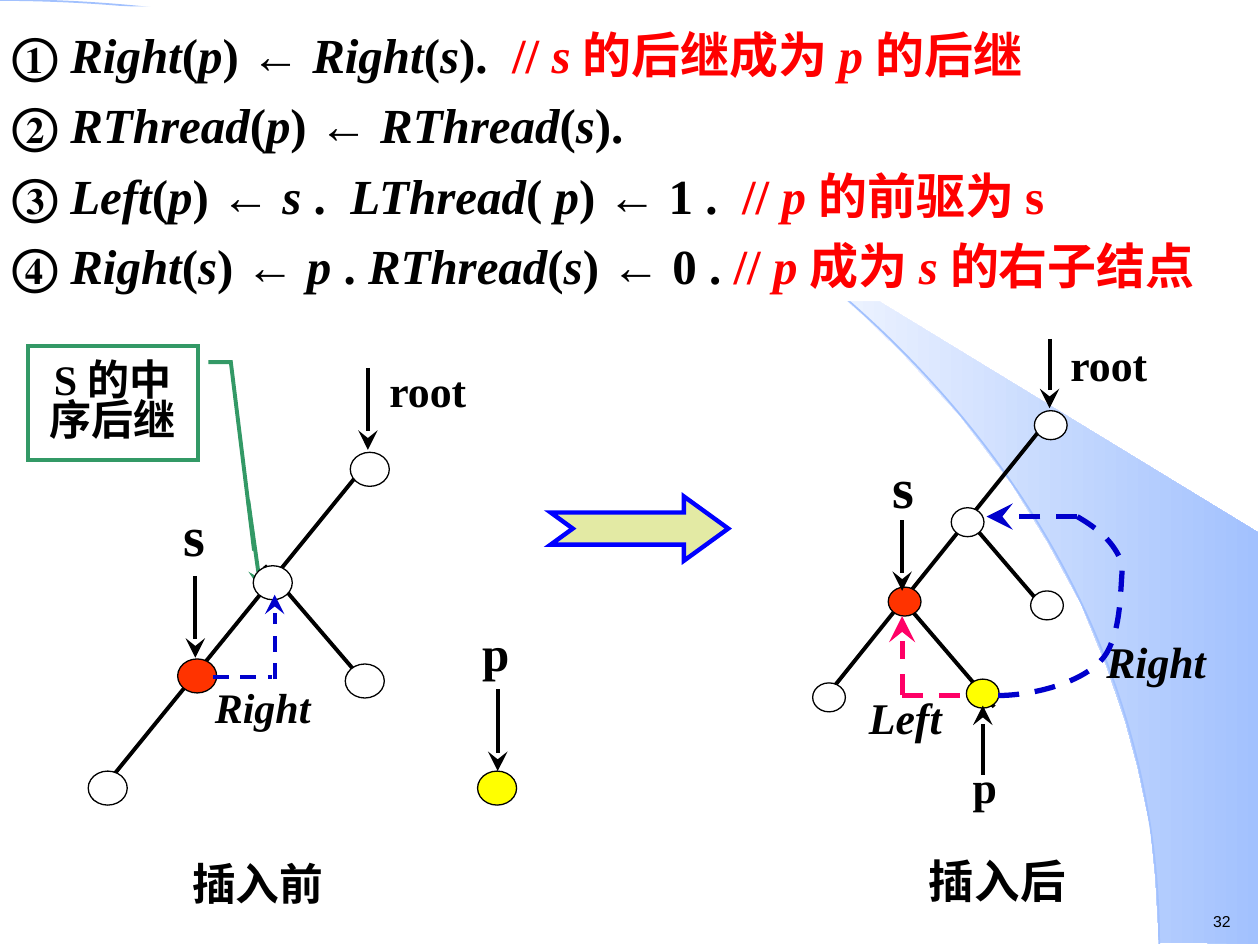
from dataclasses import dataclass
from typing import NamedTuple

from lxml import etree
from pptx import Presentation
from pptx.dml.color import RGBColor
from pptx.enum.dml import MSO_LINE
from pptx.enum.shapes import MSO_CONNECTOR, MSO_SHAPE
from pptx.enum.text import MSO_ANCHOR, PP_ALIGN
from pptx.oxml.ns import qn
from pptx.util import Inches, Pt

STRAIGHT = MSO_CONNECTOR.STRAIGHT
OVAL, CALLOUT, ARROW = MSO_SHAPE.OVAL, MSO_SHAPE.LINE_CALLOUT_2, MSO_SHAPE.NOTCHED_RIGHT_ARROW
LEFT, CENTER = PP_ALIGN.LEFT, PP_ALIGN.CENTER
TOP, MIDDLE = MSO_ANCHOR.TOP, MSO_ANCHOR.MIDDLE
DASH = MSO_LINE.DASH


@dataclass(frozen=True)
class Theme:
    black: str = "000000"
    white: str = "FFFFFF"
    sky: str = "A2C1FE"
    green: str = "339966"
    comment: str = "FF0000"
    selected: str = "FF3300"
    inserted: str = "FFFF00"
    thread: str = "0000CC"
    left_thread: str = "FF0066"
    arrow_fill: str = "E3EAA4"
    arrow_line: str = "0000FF"
    serif: str = "Times New Roman"
    sans: str = "Arial"
    code: int = 28
    big: int = 32
    label: int = 25
    note: int = 24
    number: int = 9


T = Theme()
Point = tuple[float, float]
Box = tuple[float, float, float, float]


class Node(NamedTuple):
    left: float
    top: float
    fill: str = T.white


class Link(NamedTuple):
    start: Point
    end: Point
    color: str = T.black
    width: float = 2.25
    head: bool = True
    dashed: bool = False


class Label(NamedTuple):
    text: str
    box: Box
    size: int = T.label
    spacing: float = 0.8
    align: PP_ALIGN = CENTER
    fill: str | None = None


def rgb(color: str) -> RGBColor:
    return RGBColor.from_string(color)


def style(sp, fill: str | None = None, line: str | None = None, width: float = 1,
          dashed: bool = False) -> None:
    sp.shadow.inherit = False
    if fill:
        sp.fill.solid()
        sp.fill.fore_color.rgb = rgb(fill)
    else:
        sp.fill.background()
    if line:
        sp.line.color.rgb = rgb(line)
        sp.line.width = Pt(width)
        if dashed:
            sp.line.dash_style = DASH
        etree.SubElement(sp.line._get_or_add_ln(), qn("a:miter"), lim="800000")
    else:
        sp.line.fill.background()


def write(sp, text: str, *, size: int, font: str = T.serif, bold: bool = True,
          align: PP_ALIGN = CENTER, spacing: float = 1.0, anchor: MSO_ANCHOR = TOP,
          inset: Point = (0, 0), wrap: bool = True, hanging: float = 0) -> None:
    """Markup: *italic*, | for a double-width space, // starts a red comment."""
    tf = sp.text_frame
    tf.word_wrap, tf.vertical_anchor = wrap, anchor
    tf.margin_left = tf.margin_right = Inches(inset[0])
    tf.margin_top = tf.margin_bottom = Inches(inset[1])
    for n, line in enumerate(text.split("\n")):
        p = tf.add_paragraph() if n else tf.paragraphs[0]
        p.alignment, p.line_spacing = align, spacing
        if hanging:
            pPr = p._p.get_or_add_pPr()
            pPr.set("marL", str(Inches(hanging)))
            pPr.set("indent", str(-Inches(hanging)))
        color = T.black
        for k, part in enumerate(line.split("*")):
            for piece in part.replace("|", "\n \n").replace("//", "\n//").split("\n"):
                if not piece:
                    continue
                if piece.startswith("//"):
                    color = T.comment
                r = p.add_run()
                r.text = piece
                f = r.font
                f.name, f.size, f.bold, f.italic = font, Pt(size), bold, k % 2 == 1
                f.color.rgb = rgb(color)
                if piece == " " and "|" in part:
                    r._r.get_or_add_rPr().set("spc", str(size * 25))


def add_text(s, text: str, box: Box, fill: str | None = None, **fmt) -> None:
    sp = s.shapes.add_textbox(*map(Inches, box))
    if fill:
        sp.fill.solid()
        sp.fill.fore_color.rgb = rgb(fill)
    write(sp, text, **fmt)


def add_link(s, link: Link) -> None:
    c = s.shapes.add_connector(STRAIGHT, *map(Inches, link.start + link.end))
    c.line.color.rgb = rgb(link.color)
    c.line.width = Pt(link.width)
    if link.dashed:
        c.line.dash_style = DASH
    if link.head:
        etree.SubElement(c.line._get_or_add_ln(), qn("a:tailEnd"),
                         type="stealth", w="lg", len="lg")
    etree.SubElement(c._element.spPr, qn("a:effectLst"))


def add_path(s, points: list[Point], closed: bool = False):
    start, *rest = [(Inches(x), Inches(y)) for x, y in points]
    fb = s.shapes.build_freeform(*start)
    fb.add_line_segments(rest, close=closed)
    return fb.convert_to_shape()


def add_curve(s, points: list[Point]):
    """Start point, then two controls and an end point for each cubic curve."""
    sp = add_path(s, points)
    segments = list(sp._element.iter(qn("a:lnTo")))
    for first in range(0, len(segments), 3):
        curve = etree.Element(qn("a:cubicBezTo"))
        segments[first].addprevious(curve)
        for segment in segments[first:first + 3]:
            curve.append(segment[0])
            segment.getparent().remove(segment)
    return sp


def add_tree(s, size: Point, edges: list[tuple[Point, Point]], nodes: list[Node],
             links: list[Link], labels: list[Label]) -> None:
    for label in labels:
        add_text(s, label.text, label.box, label.fill, size=label.size,
                 spacing=label.spacing, align=label.align)
    for start, end in edges:
        add_link(s, Link(start, end, head=False))
    for node in nodes:
        sp = s.shapes.add_shape(OVAL, *map(Inches, (node.left, node.top) + size))
        style(sp, node.fill, T.black, 0.75)
    for link in links:
        add_link(s, link)


prs = Presentation()
prs.slide_width, prs.slide_height = Inches(10), Inches(7.5)
s = prs.slides.add_slide(prs.slide_layouts[6])

# Background band and arc
band = add_path(s, [
    (9.2, 7.48), (9.99, 7.49), (9.99, 4.23), (5.89, 1.73), (6.24, 1.99), (6.53, 2.22),
    (6.85, 2.5), (7.16, 2.8), (7.62, 3.3), (8.03, 3.84), (8.32, 4.31), (8.58, 4.79),
    (8.78, 5.28), (8.93, 5.72), (9.03, 6.09), (9.13, 6.56), (9.17, 6.96)], closed=True)
style(band)
band.fill.gradient()
band.fill.gradient_angle = 0
for stop, color in zip(band.fill.gradient_stops, (T.white, T.sky)):
    stop.color.rgb = rgb(color)
style(add_curve(s, [(0, 0), (5.08, 0), (9.2, 3.35), (9.2, 7.49)]), line=T.sky)
add_text(s, "32", (9.53, 7.19, 0.35, 0.25), size=T.number, font=T.sans, bold=False,
         align=LEFT, inset=(0.1, 0.05), wrap=False)

# Successor callout
callout = s.shapes.add_shape(CALLOUT, *map(Inches, (0.22, 2.75, 1.35, 0.9)))
for i, value in enumerate((0.138, 1.062, 0.138, 1.194, 1.8, 1.331)):
    callout.adjustments[i] = value
style(callout, T.white, T.green, 2.25)
write(callout, "S 的中\n序后继", size=T.note, spacing=0.8, anchor=MIDDLE)
add_link(s, Link((1.97, 3.97), (2.07, 4.68), T.green))

# Tree before insertion
add_tree(
    s, (0.31, 0.27),
    edges=[((2.86, 3.74), (0.74, 6.35)), ((2.1, 4.49), (2.94, 5.47))],
    nodes=[Node(2.74, 5.27), Node(0.7, 6.12), Node(1.41, 5.23, T.selected),
           Node(2.01, 4.49), Node(2.78, 3.59), Node(3.79, 6.12, T.inserted)],
    links=[Link((x, y), (x, y + 0.65)) for x, y in ((3.95, 5.47), (2.92, 2.92), (1.55, 4.57))]
    + [Link((2.18, 5.39), (2.18, 4.72), T.thread, dashed=True),
       Link((1.69, 5.37), (2.16, 5.37), T.thread, head=False, dashed=True)],
    labels=[Label("插入前", (0.35, 6.83, 3.39, 0.43), spacing=0.95, fill=T.white),
            Label("*Right*", (1.65, 5.47, 0.87, 0.35), T.note, 0.85),
            Label("s", (1.12, 3.97, 0.85, 0.65), T.big, 1.0),
            Label("p", (3.74, 5.03, 0.39, 0.36), T.code),
            Label("root", (3.02, 2.97, 0.75, 0.32))])

# Transition arrow
arrow = s.shapes.add_shape(ARROW, *map(Inches, (4.37, 3.94, 1.41, 0.51)))
arrow.adjustments[0], arrow.adjustments[1] = 0.5, 0.69
style(arrow, T.arrow_fill, T.arrow_line, 2.5)

# Tree after insertion
add_tree(
    s, (0.26, 0.23),
    edges=[((7.17, 4.77), (7.89, 5.61)), ((8.28, 3.38), (6.49, 5.61)),
           ((7.62, 4.05), (8.34, 4.89))],
    nodes=[Node(8.18, 4.69), Node(6.45, 5.42), Node(7.05, 4.66, T.selected),
           Node(7.55, 4.03), Node(8.21, 3.26), Node(7.67, 5.39, T.inserted)],
    links=[Link((8.33, 2.69), (8.33, 3.24)), Link((7.16, 4.13), (7.16, 4.69)),
           Link((7.8, 6.15), (7.8, 5.6)),
           Link((8.55, 4.1), (7.83, 4.1), T.thread, 3, dashed=True),
           Link((7.16, 5.52), (7.16, 4.89), T.left_thread, 3, dashed=True),
           Link((7.16, 5.52), (7.67, 5.52), T.left_thread, 3, head=False, dashed=True)],
    labels=[Label("插入后", (7.02, 6.82, 1.79, 0.43), 26, 0.9, fill=T.white),
            Label("root", (8.42, 2.76, 0.76, 0.31)),
            Label("p", (7.62, 6.11, 0.39, 0.39)),
            Label("*Right*", (8.78, 5.1, 0.89, 0.38), spacing=0.85, align=LEFT),
            Label("*Left*", (6.89, 5.55, 0.59, 0.35), spacing=0.85),
            Label("s", (6.81, 3.59, 0.72, 0.56), T.big, 1.0)])
right_thread = add_curve(s, [
    (8.55, 4.1), (8.72, 4.2), (8.84, 4.3), (8.91, 4.48), (8.89, 4.68), (8.9, 4.97),
    (8.79, 5.17), (8.66, 5.41), (8.2, 5.52), (7.92, 5.52)])
style(right_thread, line=T.thread, width=3, dashed=True)

# Insertion steps
STEPS = """① *Right*(*p*) ← *Right*(*s*).|// *s *的后继成为 *p *的后继
② *RThread*(*p*) ← *RThread*(*s*).
③ *Left*(*p*) ← *s* .|*LThread*( *p*) ← 1 .|// *p *的前驱为 s
④ *Right*(*s*) ← *p* . *RThread*(*s*) ← 0 . // *p *成为 *s *的右子结点"""
add_text(s, STEPS, (0, 0.05, 10, 2.34), T.white, size=T.code, align=LEFT, spacing=1.2,
         inset=(0.1, 0.05), hanging=0.38)

prs.save("out.pptx")
